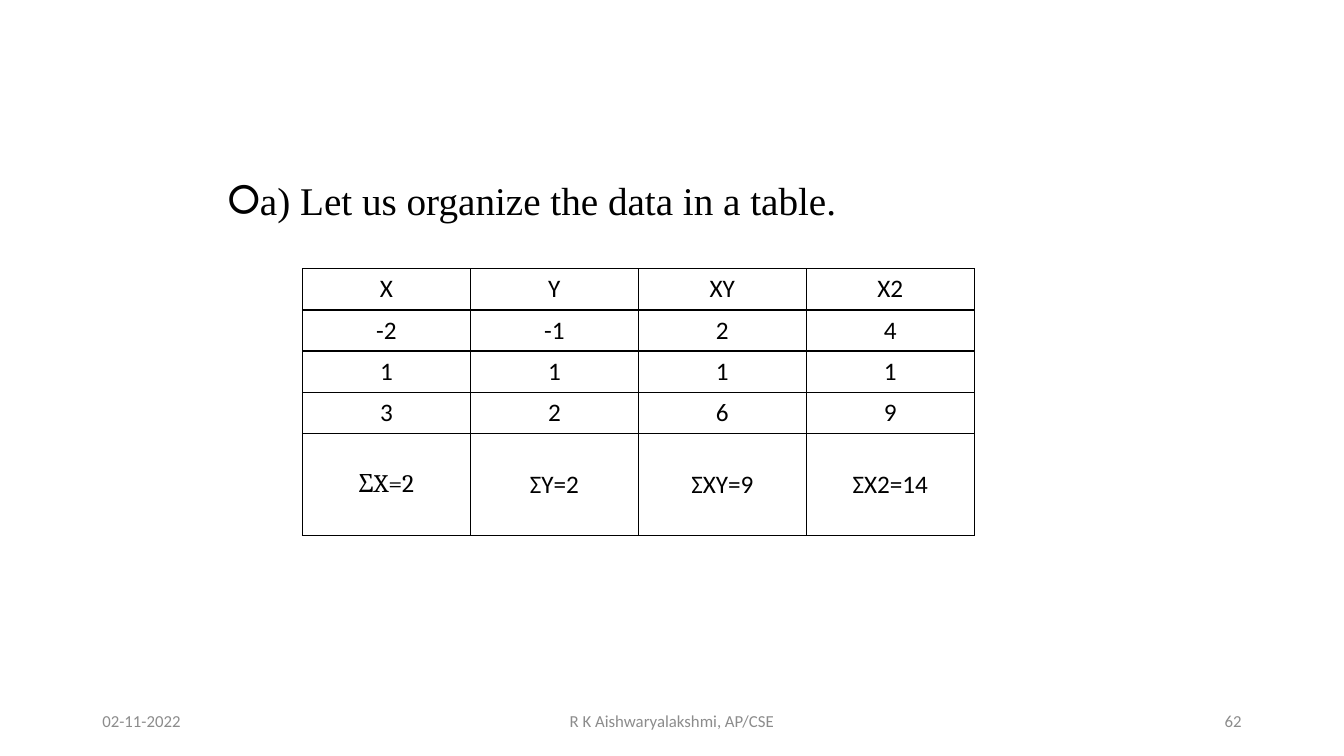
from lxml import etree
from pptx import Presentation
from pptx.dml.color import RGBColor
from pptx.enum.text import MSO_ANCHOR, MSO_AUTO_SIZE, PP_ALIGN
from pptx.oxml.ns import qn
from pptx.util import Pt

LEFT, CENTER, RIGHT = PP_ALIGN.LEFT, PP_ALIGN.CENTER, PP_ALIGN.RIGHT
MIDDLE, TOP = MSO_ANCHOR.MIDDLE, MSO_ANCHOR.TOP
NO_AUTOFIT = MSO_AUTO_SIZE.NONE
BLACK = RGBColor(0x00, 0x00, 0x00)
GRAY = RGBColor(0x8C, 0x8C, 0x8C)

ROWS = [
    ["X", "Y", "XY", "X2"],
    ["-2", "-1", "2", "4"],
    ["1", "1", "1", "1"],
    ["3", "2", "6", "9"],
    ["ΣX=2", "ΣY=2", "ΣXY=9", "ΣX2=14"],
]
COL_WIDTH, ROW_HEIGHT, SUM_HEIGHT = 120, 29.4, 73
FOOTER_TOP, FOOTER_HEIGHT = 500.5, 28.75
FOOTERS = [
    ("02-11-2022", 66, 216, LEFT),
    ("R K Aishwaryalakshmi, AP/CSE", 318, 324, CENTER),
    ("62", 678, 216, RIGHT),
]


def write(tf, text, size, font, color, align):
    tf.text = text
    p = tf.paragraphs[0]
    p.alignment = align
    f = p.runs[0].font
    f.size, f.name, f.bold = Pt(size), font, False
    f.color.rgb = color
    return p


def place(sp, left, top, width, height):
    sp.left, sp.top, sp.width, sp.height = Pt(left), Pt(top), Pt(width), Pt(height)


def add_bullet(p, char, indent):
    pPr = p._p.get_or_add_pPr()
    pPr.set("marL", str(Pt(indent)))
    pPr.set("indent", str(-Pt(indent)))
    etree.SubElement(pPr, qn("a:buChar"), char=char)


def add_statement(slide, text):
    slide.shapes.title.element.getparent().remove(slide.shapes.title.element)
    body = slide.placeholders[1]
    place(body, 156, 126, 588, 384)
    tf = body.text_frame
    tf.auto_size = NO_AUTOFIT
    tf.vertical_anchor = TOP
    p = write(tf, text, 28, "Times New Roman", BLACK, LEFT)
    p.line_spacing = 0.9
    p.space_before = Pt(0)
    add_bullet(p, "🞆", 22.5)


def set_borders(cell):
    tcPr = cell._tc.get_or_add_tcPr()
    for side in ("a:lnL", "a:lnR", "a:lnT", "a:lnB"):
        ln = etree.SubElement(tcPr, qn(side), w=str(Pt(1)))
        fill = etree.SubElement(ln, qn("a:solidFill"))
        etree.SubElement(fill, qn("a:srgbClr"), val=str(BLACK))


def add_data_table(slide, rows, left, top):
    n_rows, n_cols = len(rows), len(rows[0])
    heights = [ROW_HEIGHT] * (n_rows - 1) + [SUM_HEIGHT]
    table = slide.shapes.add_table(n_rows, n_cols, Pt(left), Pt(top),
                                   Pt(COL_WIDTH * n_cols), Pt(sum(heights))).table
    table.first_row = table.horz_banding = False
    for col in table.columns:
        col.width = Pt(COL_WIDTH)
    for r, (values, height) in enumerate(zip(rows, heights)):
        table.rows[r].height = Pt(height)
        for c, value in enumerate(values):
            cell = table.cell(r, c)
            font = "Cambria" if value == "ΣX=2" else "Calibri"
            write(cell.text_frame, value, 18, font, BLACK, CENTER)
            cell.vertical_anchor = MIDDLE
            set_borders(cell)
            cell.fill.background()


def add_footer(slide, text, left, width, align):
    box = slide.shapes.add_textbox(Pt(left), Pt(FOOTER_TOP), Pt(width), Pt(FOOTER_HEIGHT))
    tf = box.text_frame
    tf.word_wrap = True
    tf.vertical_anchor = MIDDLE
    write(tf, text, 12, "Calibri", GRAY, align)


def main():
    prs = Presentation()
    prs.slide_width, prs.slide_height = Pt(960), Pt(540)
    slide = prs.slides.add_slide(prs.slide_layouts[1])
    add_statement(slide, "a) Let us organize the data in a table.")
    add_data_table(slide, ROWS, 216, 192)
    for footer in FOOTERS:
        add_footer(slide, *footer)
    prs.save("out.pptx")


if __name__ == "__main__":
    main()
